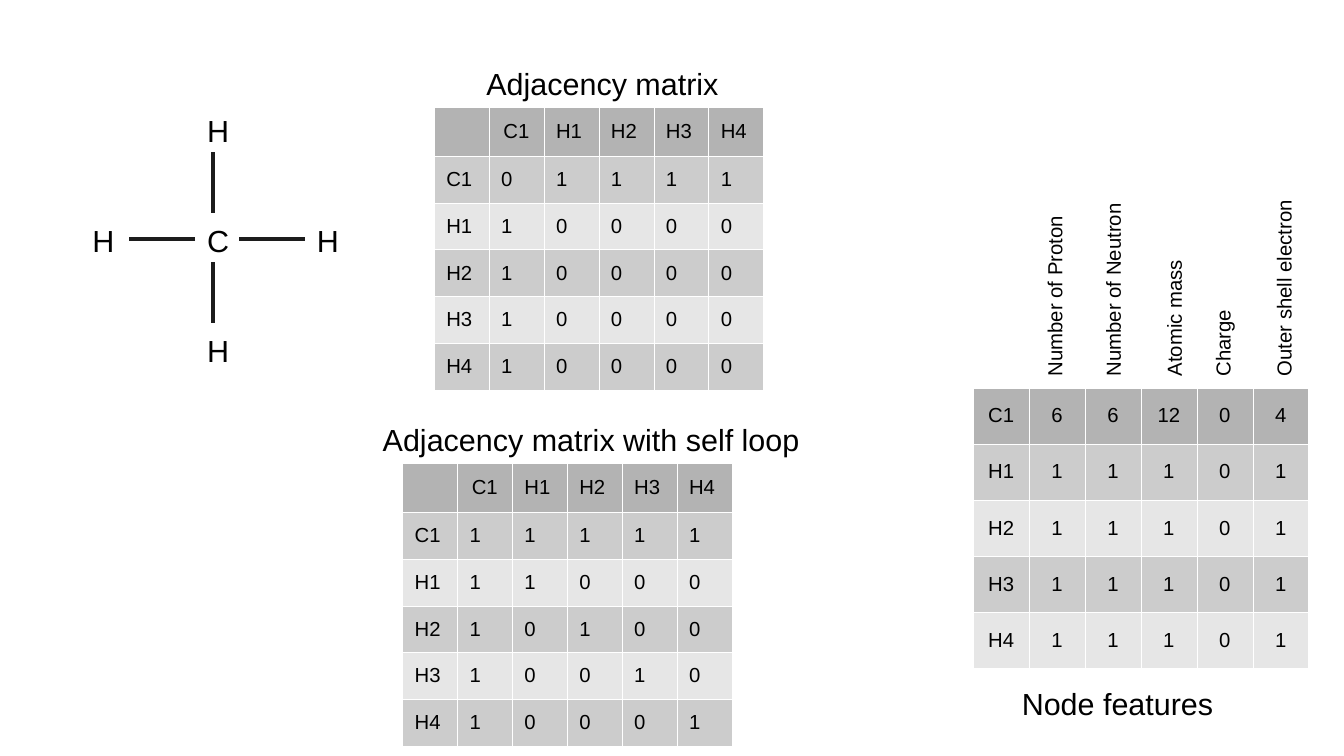
"""Build the slide on methane's adjacency matrices and node features."""
from dataclasses import dataclass

from lxml.etree import SubElement
from pptx import Presentation
from pptx.dml.color import RGBColor
from pptx.enum.shapes import MSO_CONNECTOR
from pptx.enum.text import MSO_ANCHOR, MSO_AUTO_SIZE, PP_ALIGN
from pptx.oxml.ns import qn
from pptx.shapes.autoshape import Shape
from pptx.shapes.shapetree import SlideShapes
from pptx.table import _Cell as Cell
from pptx.text.text import _Paragraph as Paragraph
from pptx.util import Inches, Pt

BLACK = RGBColor(0x00, 0x00, 0x00)
BOND_COLOR = RGBColor(0x1C, 0x1C, 0x1C)
WHITE = RGBColor(0xFF, 0xFF, 0xFF)
HEADER = RGBColor(0xB3, 0xB3, 0xB3)
BANDS = (RGBColor(0xE6, 0xE6, 0xE6), RGBColor(0xCC, 0xCC, 0xCC))
BORDER_WIDTH = Pt(0.06)
ATOMS = ["C1", "H1", "H2", "H3", "H4"]


@dataclass(frozen=True)
class Label:
    text: str
    left: float
    top: float
    width: float
    height: float = 0.38
    size: float = 18
    rotation: float = 0


@dataclass(frozen=True)
class Bond:
    atom: str
    side: int
    end_x: float
    end_y: float


@dataclass(frozen=True)
class Grid:
    rows: list[list[str]]
    left: float
    top: float
    width: float
    height: float = 2.3
    centered: bool = False


def adjacency(self_loop: bool) -> list[list[str]]:
    """Return the matrix with headings, where the first atom bonds to every other."""
    rows = [["", *ATOMS]]
    for i, atom in enumerate(ATOMS):
        linked = [self_loop if i == j else 0 in (i, j) for j in range(len(ATOMS))]
        rows.append([atom, *(str(int(value)) for value in linked)])
    return rows


def write(paragraph: Paragraph, text: str, size: float) -> None:
    """Add one formatted run to a paragraph."""
    run = paragraph.add_run()
    run.text = text
    for name, value in {"name": "Arial", "size": Pt(size), "bold": False}.items():
        setattr(run.font, name, value)
    run.font.color.rgb = BLACK


def draw_label(shapes: SlideShapes, label: Label) -> Shape:
    """Draw a text box."""
    box = shapes.add_textbox(Inches(label.left), Inches(label.top),
                             Inches(label.width), Inches(label.height))
    box.rotation = label.rotation
    box.text_frame.word_wrap = True
    box.text_frame.auto_size = MSO_AUTO_SIZE.SHAPE_TO_FIT_TEXT
    write(box.text_frame.paragraphs[0], label.text, label.size)
    return box


def draw_bond(shapes: SlideShapes, bond: Bond, atom: Shape) -> None:
    """Draw a bond that starts at the side of an atom."""
    end_x, end_y = Inches(bond.end_x), Inches(bond.end_y)
    line = shapes.add_connector(MSO_CONNECTOR.STRAIGHT, end_x, end_y, end_x, end_y)
    line.begin_connect(atom, bond.side)
    line.line.color.rgb = BOND_COLOR
    line.line.width = Pt(2.3)
    SubElement(line._element.spPr, qn("a:effectLst"))


def add_borders(cell: Cell) -> None:
    """Give a cell hairline white borders."""
    properties = cell._tc.get_or_add_tcPr()
    for side in ("L", "R", "T", "B"):
        border = SubElement(properties, qn(f"a:ln{side}"), w=str(BORDER_WIDTH))
        fill = SubElement(border, qn("a:solidFill"))
        SubElement(fill, qn("a:srgbClr"), val=str(WHITE))


def draw_grid(shapes: SlideShapes, grid: Grid) -> None:
    """Draw a table with a dark first row and banded rows below."""
    row_count, column_count = len(grid.rows), len(grid.rows[0])
    table = shapes.add_table(row_count, column_count, Inches(grid.left), Inches(grid.top),
                             Inches(grid.width), Inches(grid.height)).table
    table.first_row = table.horz_banding = False
    for column in table.columns:
        column.width = Inches(grid.width / column_count)
    for i, values in enumerate(grid.rows):
        table.rows[i].height = Inches(grid.height / row_count)
        for j, value in enumerate(values):
            cell = table.cell(i, j)
            add_borders(cell)
            cell.fill.solid()
            cell.fill.fore_color.rgb = BANDS[i % 2] if i else HEADER
            cell.vertical_anchor = MSO_ANCHOR.MIDDLE
            paragraph = cell.text_frame.paragraphs[0]
            if grid.centered or (i, j) == (0, 1):
                paragraph.alignment = PP_ALIGN.CENTER
            write(paragraph, value, 12)


MOLECULE = {
    "left": Label("H", 0.66, 1.77, 0.3),
    "top": Label("H", 1.6, 0.87, 0.3),
    "right": Label("H", 2.5, 1.77, 0.3),
    "bottom": Label("H", 1.6, 2.67, 0.3),
    "center": Label("C", 1.6, 1.77, 0.3),
}
BONDS = [
    Bond("top", 2, 1.75, 1.75),
    Bond("center", 2, 1.75, 2.65),
    Bond("right", 1, 1.96, 1.96),
    Bond("center", 1, 1.06, 1.96),
]
NODE_FEATURES = [["C1", "6", "6", "12", "0", "4"],
                 *([atom, "1", "1", "1", "0", "1"] for atom in ATOMS[1:])]
GRIDS = [
    Grid(adjacency(False), 3.56, 0.88, 2.7),
    Grid(NODE_FEATURES, 7.98, 3.18, 2.75, centered=True),
    Grid(adjacency(True), 3.3, 3.8, 2.7),
]
FEATURE_LEFTS = {
    "Number of Proton": 7.79,
    "Number of Neutron": 8.27,
    "Atomic mass": 8.77,
    "Charge": 9.17,
    "Outer shell electron": 9.67,
}
CAPTIONS = [
    Label("Adjacency matrix", 3.89, 0.48, 2.3),
    Label("Node features", 8.28, 5.57, 2.3),
    *(Label(name, left, 2.19, 1.7, 0.29, 12, 270) for name, left in FEATURE_LEFTS.items()),
    Label("Adjacency matrix with self loop", 3.04, 3.4, 3.66, 0.66),
]


def main() -> None:
    """Build and save the slide."""
    deck = Presentation()
    deck.slide_width, deck.slide_height = Inches(11.02), Inches(6.2)
    shapes = deck.slides.add_slide(deck.slide_layouts[6]).shapes
    atoms = {place: draw_label(shapes, label) for place, label in MOLECULE.items()}
    for bond in BONDS:
        draw_bond(shapes, bond, atoms[bond.atom])
    for grid in GRIDS:
        draw_grid(shapes, grid)
    for caption in CAPTIONS:
        draw_label(shapes, caption)
    deck.save("out.pptx")


if __name__ == "__main__":
    main()
